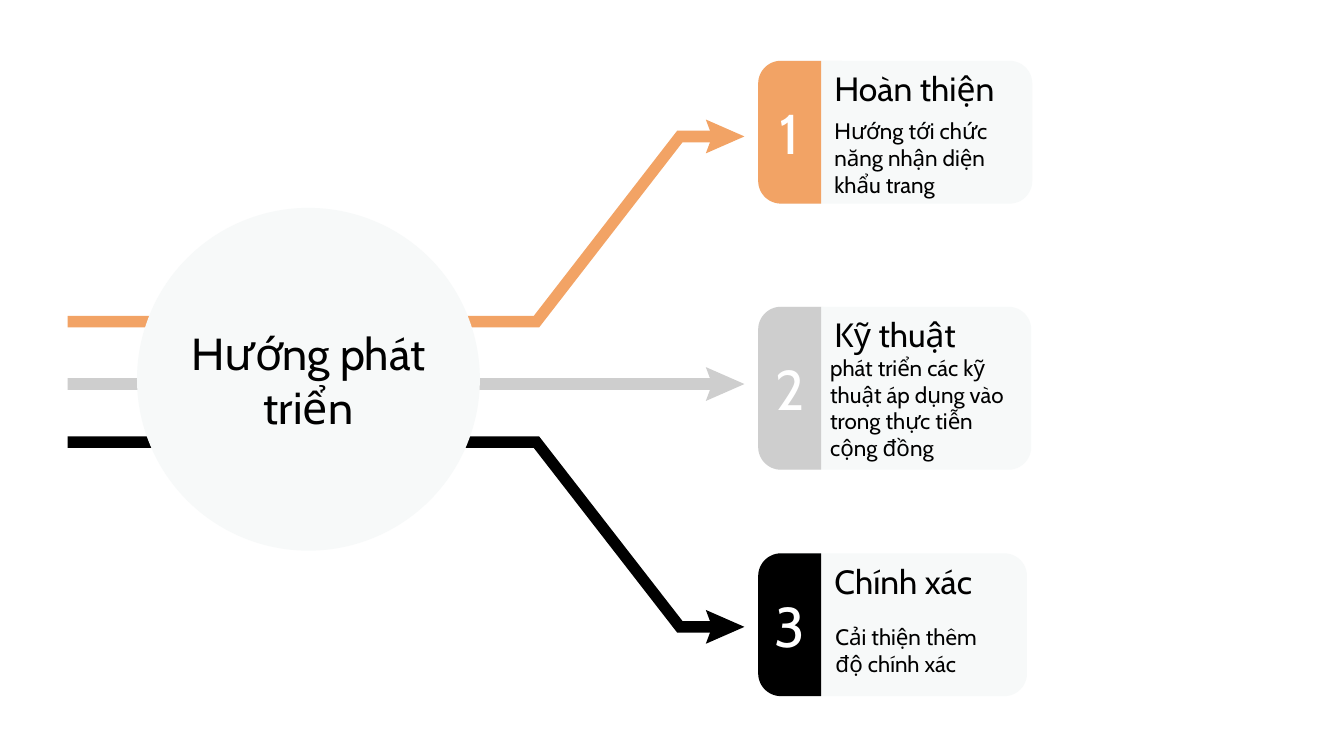
import math

import pptx
import pptx.dml.color
import pptx.enum.shapes
import pptx.enum.text
import pptx.util

Cm = pptx.util.Cm
RGB = pptx.dml.color.RGBColor
SHAPE = pptx.enum.shapes.MSO_SHAPE
ALIGN = pptx.enum.text.PP_ALIGN

ORANGE = RGB(0xF2, 0xA3, 0x65)
GREY = RGB(0xCE, 0xCE, 0xCE)
BLACK = RGB(0x00, 0x00, 0x00)
WHITE = RGB(0xFF, 0xFF, 0xFF)
PALE = RGB(0xF7, 0xF9, 0xF9)

CARD_X, TAG_W, RADIUS = 14.33, 1.19, 0.43
TEXT_X, TEXT_W = 15.52, 3.96
HUB = (2.59, 3.93, 6.48, 6.48)

# Each lane: colour, start height and end height of its arrow
LANES = [(ORANGE, 6.08, 2.58), (GREY, 7.26, 7.26), (BLACK, 8.36, 11.85)]

# Each card: top, width, height, heading, body text, body box
CARDS = [
    (1.15, 5.18, 2.7, "Hoàn thiện",
     "Hướng tới chức năng nhận diện khẩu trang", (15.52, 2.16, 3.96, 1.65)),
    (5.8, 5.16, 3.08, "Kỹ thuật",
     "phát triển các kỹ thuật áp dụng vào trong thực tiễn cộng đồng",
     (15.44, 6.88, 3.96, 1.65)),
    (10.46, 5.08, 2.7, "Chính xác",
     "Cải thiện thêm độ chính xác", (15.54, 11.46, 3.45, 1.65)),
]


def paint(shape, color):
    shape.shadow.inherit = False
    shape.fill.solid()
    shape.fill.fore_color.rgb = color
    shape.line.fill.background()


def write(shape, text, size, color=BLACK, align=ALIGN.LEFT):
    frame = shape.text_frame
    frame.text = text
    inset = Cm(0.25)
    style = {
        "word_wrap": True,
        "auto_size": pptx.enum.text.MSO_AUTO_SIZE.NONE,
        "vertical_anchor": pptx.enum.text.MSO_ANCHOR.MIDDLE,
        "margin_left": inset, "margin_right": inset,
        "margin_top": inset, "margin_bottom": inset,
    }
    for name, value in style.items():
        setattr(frame, name, value)
    para = frame.paragraphs[0]
    para.alignment = align
    font = para.runs[0].font
    for name, value in {"name": "Cabin", "size": pptx.util.Pt(size)}.items():
        setattr(font, name, value)
    font.color.rgb = color


def add_text(slide, box, text, size):
    write(slide.shapes.add_textbox(*map(Cm, box)), text, size)


def add_poly(slide, points, color):
    first, *rest = [(Cm(x), Cm(y)) for x, y in points]
    pen = slide.shapes.build_freeform(*first)
    pen.add_line_segments(rest, close=True)
    shape = pen.convert_to_shape()
    paint(shape, color)
    return shape


def add_lane(slide, color, start, end):
    """Draw a bar that bends from one height to another, and its arrowhead."""
    half, tip = 0.11, 0.32
    skew = 0.05 * ((start > end) - (start < end))
    path = [(1.28, start, 0), (10.14, start, skew),
            (12.85, end, skew), (13.57, end, 0)]
    upper = [(x - dx, y - half) for x, y, dx in path]
    lower = [(x + dx, y + half) for x, y, dx in path]
    add_poly(slide, upper + lower[::-1], color)
    head = [(13.34, end - tip), (13.46, end), (13.34, end + tip), (14.07, end)]
    add_poly(slide, head, color)


def add_hub(slide, text):
    box = [Cm(n) for n in HUB]
    paint(slide.shapes.add_shape(SHAPE.OVAL, *box), PALE)
    title = slide.shapes.title
    for name, value in zip(("left", "top", "width", "height"), box):
        setattr(title, name, value)
    write(title, text, 24, align=ALIGN.CENTER)
    title.element.getparent().append(title.element)


def add_tag(slide, top, height, color, text):
    """Draw a numbered tab with rounded corners on its left side only."""
    def arc(y, first):
        angles = [math.radians(first + step) for step in range(0, 91, 6)]
        return [(CARD_X + RADIUS * (1 + math.cos(a)),
                 y + RADIUS * math.sin(a)) for a in angles]

    right, bottom = CARD_X + TAG_W, top + height
    points = (arc(bottom - RADIUS, 90) + arc(top + RADIUS, 180)
              + [(right, top), (right, bottom)])
    tag = add_poly(slide, points, color)
    write(tag, text, 30, WHITE, ALIGN.CENTER)


def add_card(slide, number, color, top, width, height, head, body, box):
    card = slide.shapes.add_shape(
        SHAPE.ROUNDED_RECTANGLE, *map(Cm, (CARD_X, top, width, height)))
    card.adjustments[0] = RADIUS / height
    paint(card, PALE)
    add_tag(slide, top, height, color, str(number))
    add_text(slide, (TEXT_X, top + 0.02, TEXT_W, 0.99), head, 18)
    add_text(slide, box, body, 12)


def main():
    deck = pptx.Presentation()
    deck.slide_width, deck.slide_height = Cm(25.4), Cm(14.29)
    slide = deck.slides.add_slide(deck.slide_layouts.get_by_name("Title Only"))
    for lane in LANES:
        add_lane(slide, *lane)
    add_hub(slide, "Hướng phát triển")
    for number, (lane, card) in enumerate(zip(LANES, CARDS), 1):
        add_card(slide, number, lane[0], *card)
    deck.save("out.pptx")


if __name__ == "__main__":
    main()
